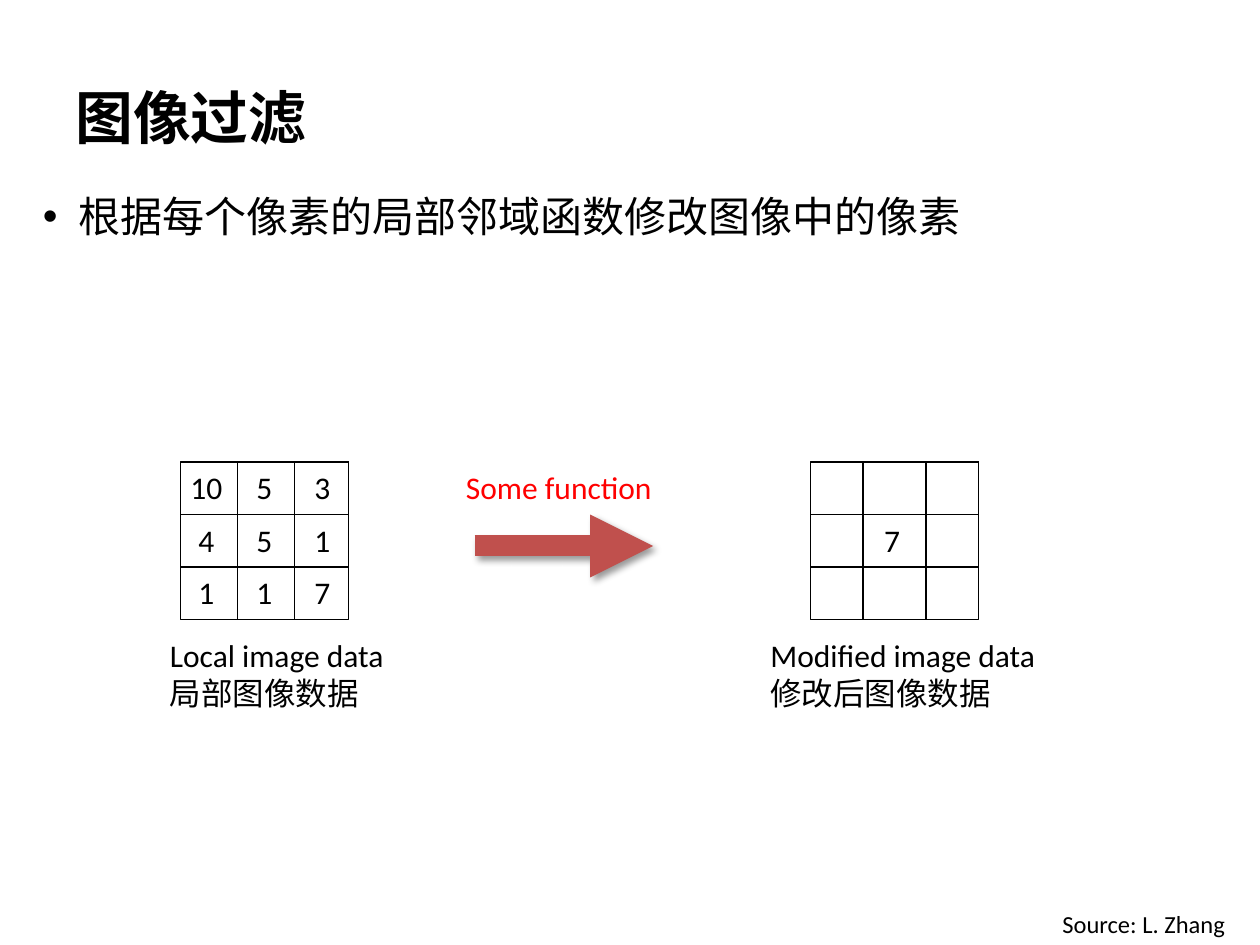
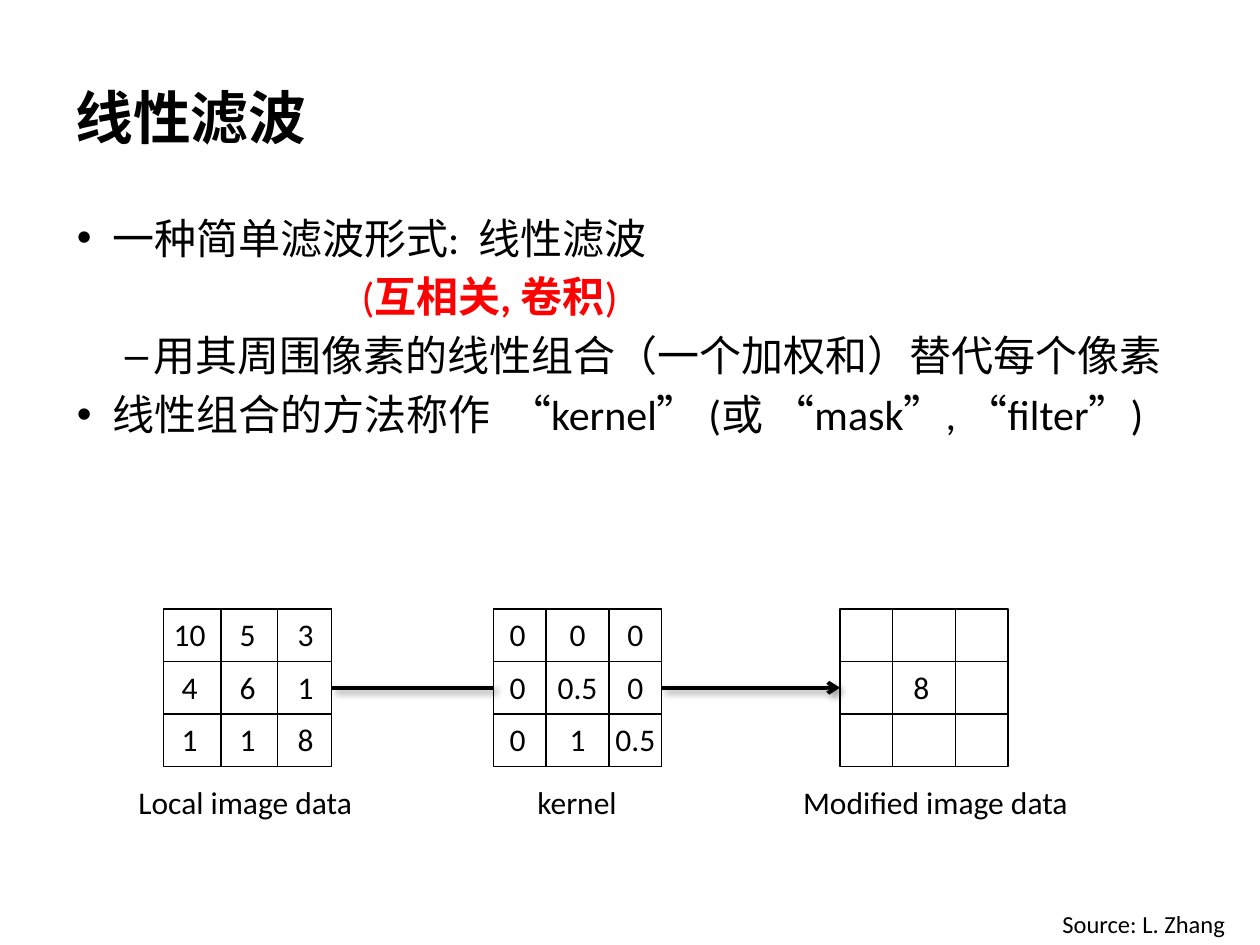
from lxml import etree
from pptx import Presentation
from pptx.dml.color import RGBColor
from pptx.enum.shapes import MSO_CONNECTOR, MSO_SHAPE
from pptx.enum.text import MSO_ANCHOR, PP_ALIGN
from pptx.oxml.ns import qn
from pptx.util import Inches, Pt

STRAIGHT = MSO_CONNECTOR.STRAIGHT
RECTANGLE = MSO_SHAPE.RECTANGLE
MIDDLE, TOP = MSO_ANCHOR.MIDDLE, MSO_ANCHOR.TOP
LEFT, CENTER = PP_ALIGN.LEFT, PP_ALIGN.CENTER

FONT = "Calibri"
BLACK, RED, BRICK = "000000", "FF0000", "C0504D"
TITLE_SIZE, BODY_SIZE, LABEL_SIZE, SOURCE_SIZE = 33, 24, 18, 14

# The slide is a grid of 120 columns by 90 rows
SLIDE_WIDTH, SLIDE_HEIGHT = Inches(10), Inches(7.5)
COLUMNS, ROWS = 120, 90

# Matrix: three rows; each kind has its two dividers and three number centres
MATRIX_WIDTH, MATRIX_ROW, MATRIX_HEIGHT = 16, 5, 15
RULE_WEIGHT = 0.75
NUMBER_WIDTH, NUMBER_HEIGHT = 4, 4.8
DATA = ((5.45, 10.85), (2.46, 7.98, 13.5))
KERNEL = ((5, 11), (2.3, 8, 13.5))
RESULT = ((5, 11), (2.3, 7.75, 13.5))

# Paragraph levels: bullet, left margin and first-line indent in inches
POINT = ("•", 0.28, -0.28)
SUBPOINT = ("–", 0.61, -0.23)
ASIDE = (None, 2.26, 0)
PLAIN = (None, 0, 0)


def col(n):
    return round(SLIDE_WIDTH * n / COLUMNS)


def row(n):
    return round(SLIDE_HEIGHT * n / ROWS)


def color(hex_code):
    return RGBColor.from_string(hex_code)


def add_child(parent, tag, **attributes):
    child = etree.SubElement(parent, qn(tag))
    for key, value in attributes.items():
        child.set(key, str(value))
    return child


def add_run(paragraph, text, size, ink, bold):
    run = paragraph.add_run()
    run.text = text
    run.font.name = FONT
    run.font.size = Pt(size)
    run.font.bold = bold
    run.font.color.rgb = color(ink)


def set_level(paragraph, level):
    bullet, margin, indent = level
    properties = paragraph._p.get_or_add_pPr()
    properties.set("marL", str(Inches(margin)))
    properties.set("indent", str(Inches(indent)))
    if bullet:
        add_child(properties, "a:buFont", typeface="Arial")
        add_child(properties, "a:buChar", char=bullet)
    else:
        add_child(properties, "a:buNone")


def add_text(slide, x, y, width, height, paragraphs, size,
             anchor=TOP, align=LEFT, gap=0, inset=0.1):
    """Each paragraph is a level and a list of (text, ink, bold) runs."""
    box = slide.shapes.add_textbox(col(x), row(y), col(width), row(height))
    frame = box.text_frame
    frame.word_wrap = True
    frame.vertical_anchor = anchor
    frame.margin_left = frame.margin_right = Inches(inset)
    for index, (level, runs) in enumerate(paragraphs):
        paragraph = frame.add_paragraph() if index else frame.paragraphs[0]
        set_level(paragraph, level)
        paragraph.alignment = align
        if index and gap:
            paragraph.space_before = Pt(gap)
        for text, ink, bold in runs:
            add_run(paragraph, text, size, ink, bold)


def add_label(slide, x, y, *lines, ink=BLACK):
    paragraphs = [(PLAIN, [(line, ink, False)]) for line in lines]
    add_text(slide, x, y, 30, 5 * len(lines), paragraphs, LABEL_SIZE)


def add_body(slide, x, y, width, height, paragraphs):
    add_text(slide, x, y, width, height, paragraphs, BODY_SIZE, gap=4.8)


def add_line(slide, start, end, ink, weight):
    """Straight line between two (x, y) points; returns it and its effects."""
    (x1, y1), (x2, y2) = start, end
    line = slide.shapes.add_connector(STRAIGHT, col(x1), row(y1), col(x2), row(y2))
    line.line.color.rgb = color(ink)
    line.line.width = Pt(weight)
    return line, add_child(line._element.spPr, "a:effectLst")


def add_flow(slide, start, end, y, ink, weight, head=None):
    """Horizontal line with a soft shadow and an optional arrowhead."""
    flow, effects = add_line(slide, (start, y), (end, y), ink, weight)
    if head:
        add_child(flow.line._get_or_add_ln(), "a:tailEnd", type=head)
    shadow = add_child(effects, "a:outerShdw", blurRad=Pt(4), dist=Pt(3),
                       dir=45 * 60000, algn="tl", rotWithShape=0)
    add_child(add_child(shadow, "a:srgbClr", val=BLACK), "a:alpha", val=40000)


def add_matrix(slide, x, y, kind, values):
    dividers, centres = kind
    frame = slide.shapes.add_shape(RECTANGLE, col(x), row(y),
                                   col(MATRIX_WIDTH), row(MATRIX_HEIGHT))
    frame.shadow.inherit = False
    frame.fill.background()
    frame.line.color.rgb = color(BLACK)
    frame.line.width = Pt(RULE_WEIGHT)

    for divider in dividers:
        add_line(slide, (x + divider, y), (x + divider, y + MATRIX_HEIGHT),
                 BLACK, RULE_WEIGHT)
    for r, numbers in enumerate(values):
        top = y + r * MATRIX_ROW
        add_line(slide, (x, top), (x + MATRIX_WIDTH, top), BLACK, RULE_WEIGHT)
        for centre, number in zip(centres, numbers):
            if number:
                add_text(slide, x + centre - NUMBER_WIDTH / 2, top,
                         NUMBER_WIDTH, NUMBER_HEIGHT,
                         [(PLAIN, [(number, BLACK, False)])],
                         LABEL_SIZE, align=CENTER, inset=0)


def add_result(slide, x, y, value):
    blank = ("", "", "")
    add_matrix(slide, x, y, RESULT, (blank, ("", value, ""), blank))


def new_slide(deck, title):
    """Blank slide with the shared title and source line."""
    slide = deck.slides.add_slide(deck.slide_layouts[6])
    add_text(slide, 6, 3.6, 108, 15, [(PLAIN, [(title, BLACK, True)])],
             TITLE_SIZE, anchor=MIDDLE)
    add_text(slide, 100, 86, 19, 4,
             [(PLAIN, [("Source: L. Zhang", BLACK, False)])], SOURCE_SIZE)
    return slide


def build_filtering(deck):
    slide = new_slide(deck, "图像过滤")
    add_body(slide, 2.9, 17.6, 114.5, 18, [
        (POINT, [("根据每个像素的局部邻域函数修改图像中的像素", BLACK, False)]),
    ])

    # Local data, function arrow and result
    top = 44
    add_matrix(slide, 17.2, top, DATA,
               (("10", "5", "3"), ("4", "5", "1"), ("1", "1", "7")))
    add_result(slide, 77.2, top, "7")
    add_flow(slide, 45.2, 62.2, top + 8, BRICK, 12, "triangle")

    # Labels
    add_label(slide, 43.2, top, "Some function", ink=RED)
    add_label(slide, 15, top + 16, "Local image data", "局部图像数据")
    add_label(slide, 72.2, top + 16, "Modified image data", "修改后图像数据")


def build_linear(deck):
    slide = new_slide(deck, "线性滤波")
    add_body(slide, 6.15, 19.6, 110, 66.4, [
        (POINT, [("一种简单滤波形式:  线性滤波", BLACK, False)]),
        (ASIDE, [("(", RED, False), ("互相关, 卷积", RED, True), (")", RED, False)]),
        (SUBPOINT, [("用其周围像素的线性组合（一个加权和）替代每个像素", BLACK, False)]),
        (POINT, [("线性组合的方法称作  “kernel” (或 “mask”, “filter”)", BLACK, False)]),
    ])

    # Data, kernel and result, joined at mid-height
    top, data_x, kernel_x, result_x = 58, 15.6, 47, 80
    middle = top + MATRIX_HEIGHT / 2
    add_flow(slide, data_x + MATRIX_WIDTH, kernel_x, middle, BLACK, 2.25)
    add_flow(slide, kernel_x + MATRIX_WIDTH, result_x, middle, BLACK, 2.25, "arrow")
    add_matrix(slide, data_x, top, DATA,
               (("10", "5", "3"), ("4", "6", "1"), ("1", "1", "8")))
    add_matrix(slide, kernel_x, top, KERNEL,
               (("0", "0", "0"), ("0", "0.5", "0"), ("0", "1", "0.5")))
    add_result(slide, result_x, top, "8")

    # Labels
    for x, label in ((12, "Local image data"), (50, "kernel"),
                     (75.3, "Modified image data")):
        add_label(slide, x, top + 16, label)


def main():
    deck = Presentation()
    deck.slide_width, deck.slide_height = SLIDE_WIDTH, SLIDE_HEIGHT
    build_filtering(deck)
    build_linear(deck)
    deck.save("out.pptx")


if __name__ == "__main__":
    main()
